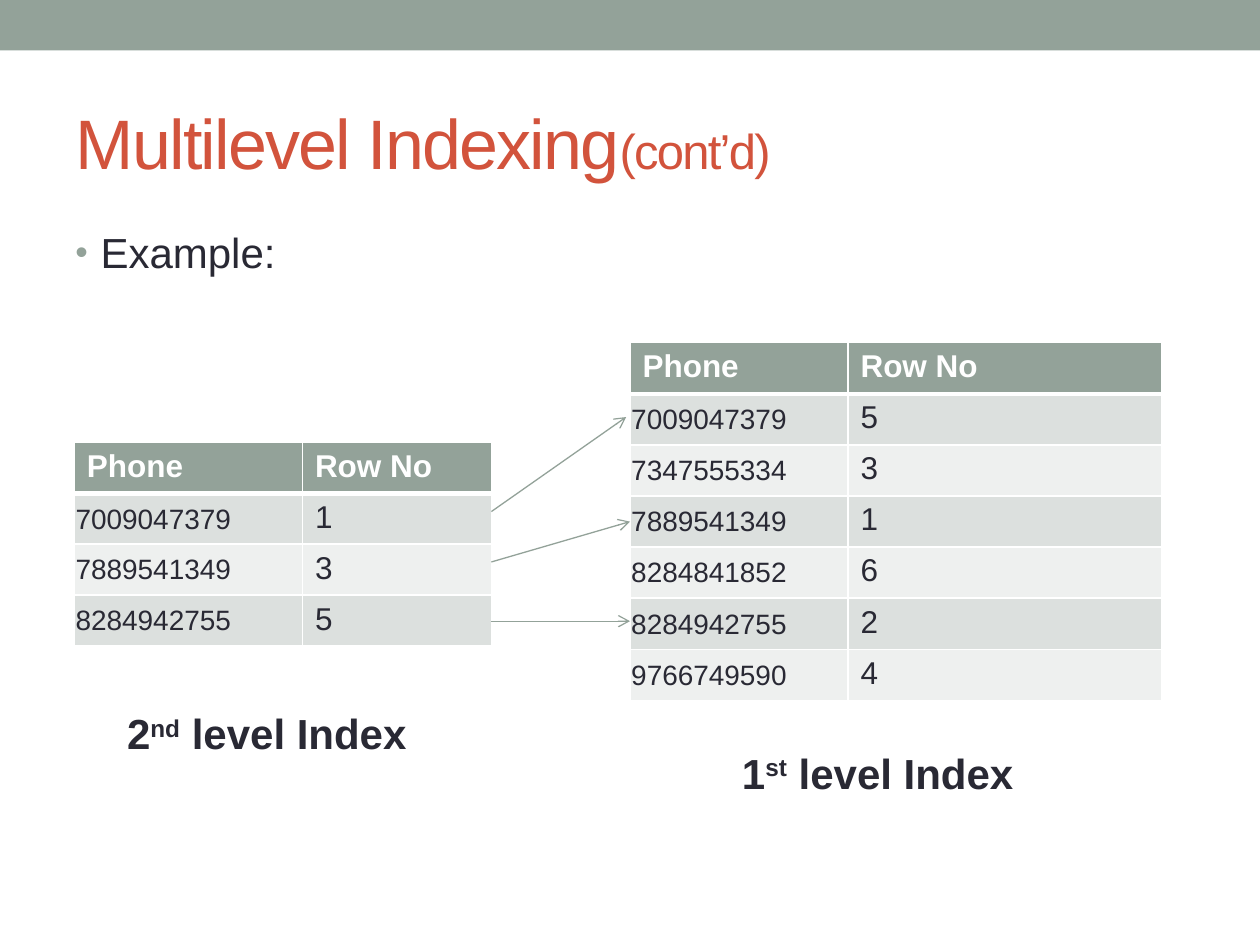
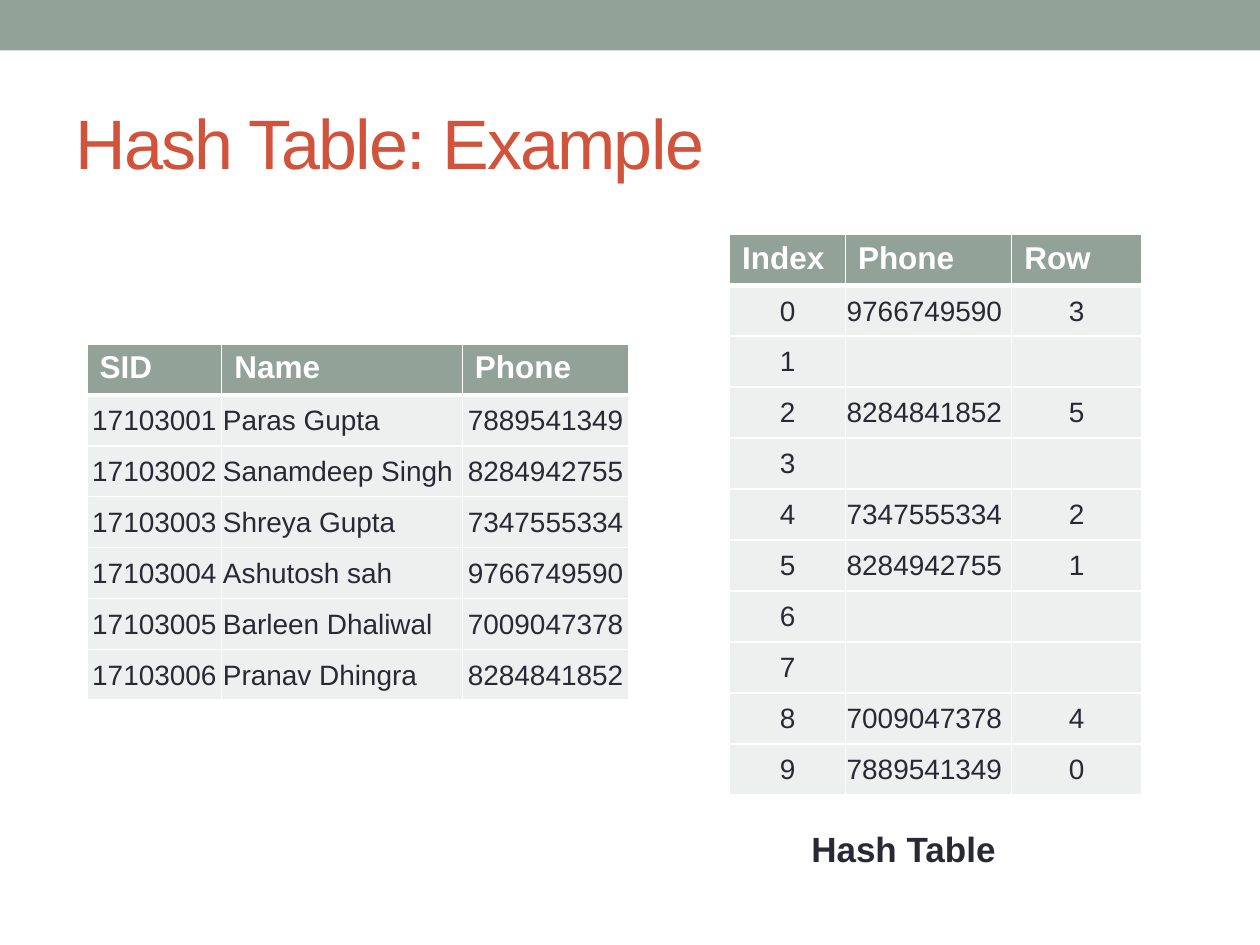
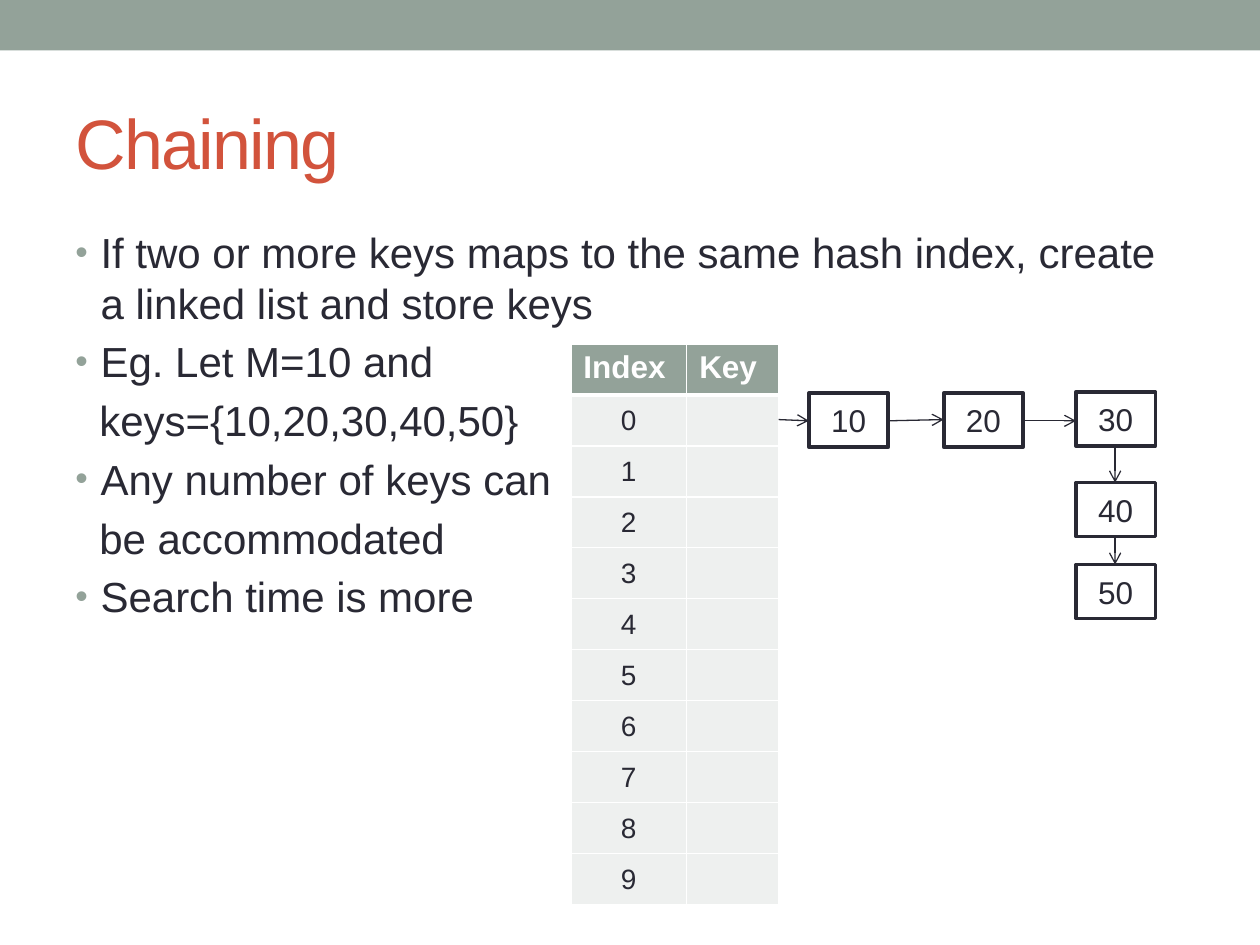
import pptx
import pptx.util
import pptx.dml.color
import pptx.enum.shapes
import pptx.enum.text
import pptx.oxml
import pptx.oxml.ns
import lxml.etree

Inches, Pt = pptx.util.Inches, pptx.util.Pt
RGB = pptx.dml.color.RGBColor.from_string
ALIGN = pptx.enum.text.PP_ALIGN
MIDDLE = pptx.enum.text.MSO_ANCHOR.MIDDLE
RECT = pptx.enum.shapes.MSO_SHAPE.RECTANGLE
STRAIGHT = pptx.enum.shapes.MSO_CONNECTOR.STRAIGHT
NS = pptx.oxml.ns.nsdecls("a")
qn = pptx.oxml.ns.qn

HUES = {"sage": "93A299", "rust": "D2533C", "ink": "292934",
        "white": "FFFFFF", "dark": "DCE0DE", "pale": "EEF0EF"}
FACE = "Arial"


def grid(slide, at, widths, kinds, rows, bands=("pale", "pale")):
    """Table with a header row; kinds per column: l left, c centred, p plain."""
    box = [Inches(n) for n in at]
    table = slide.shapes.add_table(len(rows), len(widths), *box).table
    for col, width in zip(table.columns, widths):
        col.width = Inches(width)
    for r, row in enumerate(rows):
        for c, text in enumerate(row):
            cell = table.cell(r, c)
            head = r == 0
            tight = not head and kinds[c] != "p"
            props = cell._tc.get_or_add_tcPr()
            for edge in "LRTB":
                # Thick rule on both sides of the header's lower edge
                thick = (head and edge == "B") or (r == 1 and edge == "T")
                props.append(pptx.oxml.parse_xml(
                    f'<a:ln{edge} {NS} w="{Pt(3 if thick else 1)}"><a:solidFill>'
                    f'<a:srgbClr val="{HUES["white"]}"/></a:solidFill></a:ln{edge}>'))
            cell.fill.solid()
            cell.fill.fore_color.rgb = RGB(HUES["sage" if head else bands[(r - 1) % 2]])
            if tight and text:
                cell.vertical_anchor = MIDDLE
                cell.margin_left = cell.margin_right = cell.margin_top = Inches(0.01)
                cell.margin_bottom = 0
            cell.text = text
            para = cell.text_frame.paragraphs[0]
            para.alignment = ALIGN.CENTER if tight and kinds[c] == "c" else ALIGN.LEFT
            para.font.name = FACE
            para.font.size = Pt(16 if tight and text else 18)
            para.font.bold = head
            para.font.color.rgb = RGB(HUES["white" if head else "ink"])


def arrow(slide, start, end, hue):
    line = slide.shapes.add_connector(STRAIGHT, *[Inches(n) for n in start + end])
    line.line.color.rgb = RGB(HUES[hue])
    line.line.width = Pt(0.75)
    lxml.etree.SubElement(line.line._get_or_add_ln(), qn("a:tailEnd"), type="arrow")
    lxml.etree.SubElement(line._element.spPr, qn("a:effectLst"))


deck = pptx.Presentation()
deck.slide_width, deck.slide_height = Inches(10), Inches(7.5)

# Shared band and title
titles = [[("Multilevel Indexing", 40), ("(cont’d)", 28)],
          [("Hash Table: Example", 40)],
          [("Chaining", 40)]]
for runs in titles:
    slide = deck.slides.add_slide(deck.slide_layouts[5])
    band = slide.shapes.add_shape(RECT, 0, 0, Inches(10), Inches(0.4))
    band.shadow.inherit = False
    band.fill.solid()
    band.fill.fore_color.rgb = RGB(HUES["sage"])
    band.line.fill.background()
    title = slide.shapes.title
    title.left, title.top = Inches(0.5), Inches(0.58)
    title.width, title.height = Inches(9), Inches(1.08)
    frame = title.text_frame
    frame.auto_size = pptx.enum.text.MSO_AUTO_SIZE.NONE
    frame.vertical_anchor = MIDDLE
    para = frame.paragraphs[0]
    para.alignment = ALIGN.LEFT
    para.font.name = FACE
    para.font.color.rgb = RGB(HUES["rust"])
    for text, size in runs:
        run = para.add_run()
        run.text = text
        run.font.size = Pt(size)
        run._r.get_or_add_rPr().set("spc", "-100")
multi, hashed, chain = deck.slides

# Body text: (bulleted, text)
bodies = [
    (multi, [(True, "Example:")]),
    (chain, [(True, "If two or more keys maps to the same hash index, "
                    "create a linked list and store keys"),
             (True, "Eg. Let M=10 and"),
             (False, "keys={10,20,30,40,50}"),
             (True, "Any number of keys can"),
             (False, "be accommodated"),
             (True, "Search time is more")]),
]
for slide, lines in bodies:
    frame = slide.shapes.add_textbox(
        Inches(0.5), Inches(1.75), Inches(9), Inches(5.33)).text_frame
    frame.word_wrap = True
    for i, (dot, text) in enumerate(lines):
        para = frame.add_paragraph() if i else frame.paragraphs[0]
        para.text = text
        para.font.name = FACE
        para.font.size = Pt(24)
        para.font.color.rgb = RGB(HUES["ink"])
        props = para._p.get_or_add_pPr()
        props.set("marL", str(Inches(0.2 if dot else 0.19)))
        props.set("indent", str(Inches(-0.2 if dot else 0)))
        parts = [f'<a:spcBef {NS}><a:spcPct val="20000"/></a:spcBef>']
        if dot:
            parts += [f'<a:buClr {NS}><a:srgbClr val="{HUES["sage"]}"/></a:buClr>',
                      f'<a:buSzPct {NS} val="85000"/>',
                      f'<a:buFont {NS} typeface="{FACE}"/>',
                      f'<a:buChar {NS} char="•"/>']
        for spot, part in enumerate(parts):
            props.insert(spot, pptx.oxml.parse_xml(part))

# Captions: runs of (text, raised)
notes = [
    (multi, 5.79, 5.88, 0.5, 24, [("1", False), ("st", True), (" level Index", False)]),
    (multi, 0.91, 5.57, 0.5, 24, [("2", False), ("nd", True), (" level Index", False)]),
    (hashed, 6.34, 6.52, 0.44, 20, [("Hash Table", False)]),
]
for slide, left, top, high, size, runs in notes:
    frame = slide.shapes.add_textbox(
        Inches(left), Inches(top), Inches(2.68), Inches(high)).text_frame
    frame.word_wrap = True
    para = frame.paragraphs[0]
    para.font.name = FACE
    para.font.size = Pt(size)
    para.font.bold = True
    para.font.color.rgb = RGB(HUES["ink"])
    for text, raised in runs:
        run = para.add_run()
        run.text = text
        if raised:
            run._r.get_or_add_rPr().set("baseline", "30000")

# Slide 1: two index levels
head = ("Phone", "Row No")
first = [head, ("7009047379", "5"), ("7347555334", "3"), ("7889541349", "1"),
         ("8284841852", "6"), ("8284942755", "2"), ("9766749590", "4")]
second = [head, ("7009047379", "1"), ("7889541349", "3"), ("8284942755", "5")]
grid(multi, (5, 2.72, 4.22, 2.84), (1.73, 2.49), "lp", first, ("dark", "pale"))
grid(multi, (0.59, 3.51, 3.31, 1.62), (1.81, 1.5), "lp", second, ("dark", "pale"))
for start, end in [((3.9, 4.06), (4.97, 3.31)),
                   ((3.9, 4.46), (5, 4.14)),
                   ((3.9, 4.93), (5, 4.93))]:
    arrow(multi, start, end, "sage")

# Slide 2: records and their hash table
people = [("Paras Gupta", "7889541349"), ("Sanamdeep Singh", "8284942755"),
          ("Shreya Gupta", "7347555334"), ("Ashutosh sah", "9766749590"),
          ("Barleen Dhaliwal", "7009047378"), ("Pranav Dhingra", "8284841852")]
records = [("SID", "Name", "Phone")]
records += [(str(17103001 + i), *who) for i, who in enumerate(people)]
grid(hashed, (0.69, 2.73, 4.29, 2.83), (1.07, 1.91, 1.32), "clc", records)

slots = {0: 3, 2: 5, 4: 2, 5: 1, 8: 4, 9: 0}  # hash index: record row
table = [("Index", "Phone", "Row")]
for i in range(10):
    row = slots.get(i)
    table.append((str(i), "", "") if row is None else (str(i), people[row][1], str(row)))
grid(hashed, (5.79, 1.86, 3.27, 4.45), (0.92, 1.32, 1.03), "clc", table)

# Slide 3: chained keys
keys = [("Index", "Key")] + [(str(i), "") for i in range(10)]
grid(chain, (4.53, 2.73, 1.65, 4.45), (0.92, 0.73), "cp", keys)
for key, left, top in [("10", 6.42, 3.12), ("20", 7.49, 3.12), ("30", 8.54, 3.11),
                       ("40", 8.54, 3.83), ("50", 8.54, 4.48)]:
    node = chain.shapes.add_shape(
        RECT, Inches(left), Inches(top), Inches(0.63), Inches(0.43))
    node.shadow.inherit = False
    node.fill.solid()
    node.fill.fore_color.rgb = RGB(HUES["white"])
    node.line.color.rgb = RGB(HUES["ink"])
    node.line.width = Pt(2.08)
    node.text_frame.text = key
    node.text_frame.vertical_anchor = MIDDLE
    para = node.text_frame.paragraphs[0]
    para.alignment = ALIGN.CENTER
    para.font.name = FACE
    para.font.size = Pt(18)
    para.font.color.rgb = RGB(HUES["ink"])
for start, end in [((6.18, 3.33), (6.42, 3.34)),
                   ((7.05, 3.34), (7.49, 3.33)),
                   ((8.12, 3.34), (8.54, 3.34)),
                   ((8.85, 3.55), (8.85, 3.83)),
                   ((8.85, 4.26), (8.85, 4.48))]:
    arrow(chain, start, end, "ink")

deck.save("out.pptx")
